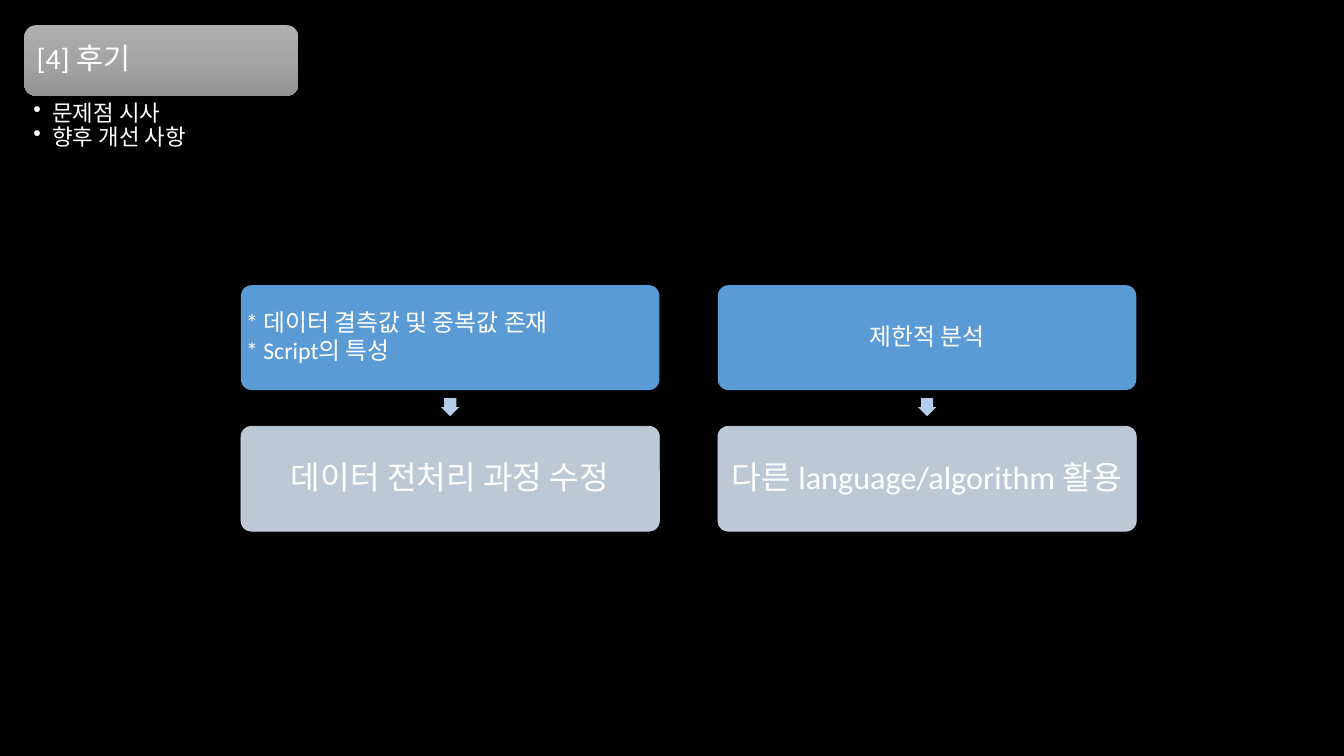
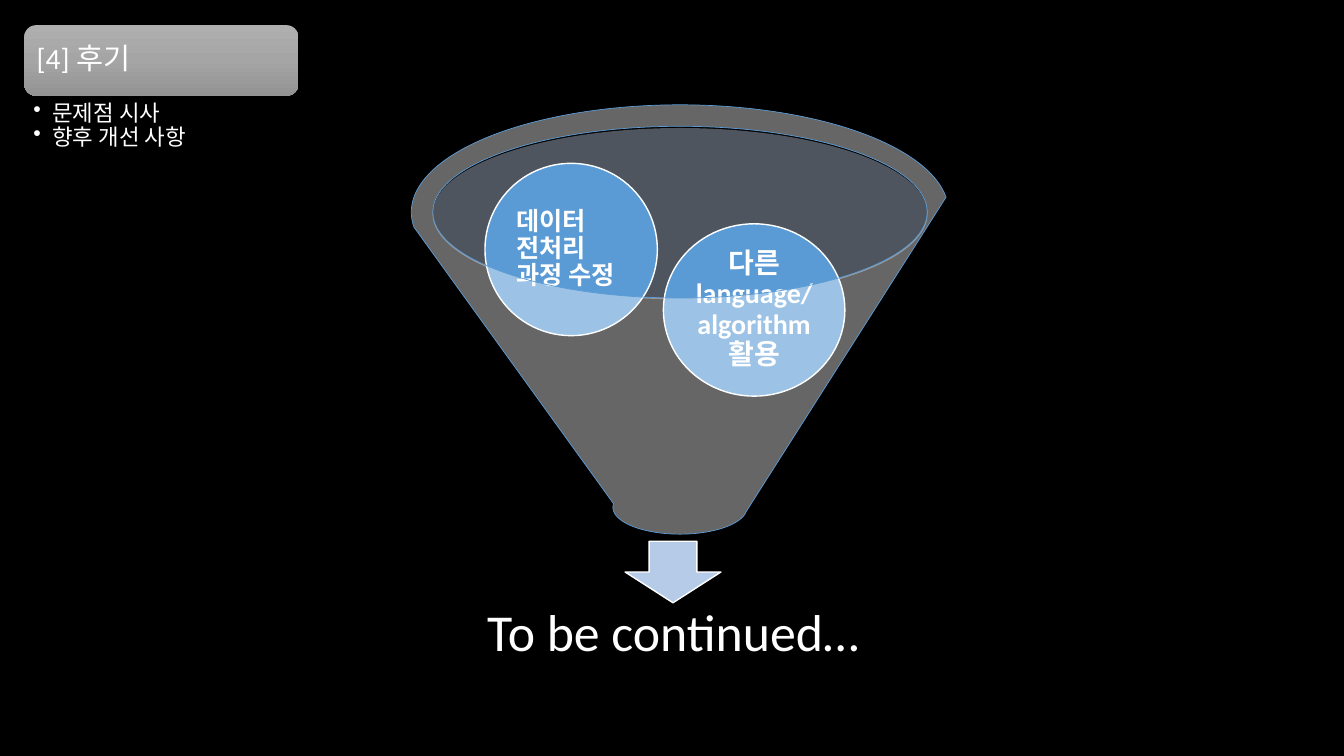
from copy import deepcopy
from dataclasses import dataclass

from lxml.etree import SubElement
from pptx import Presentation
from pptx.dml.color import RGBColor
from pptx.enum.shapes import MSO_SHAPE as Shape
from pptx.enum.text import MSO_ANCHOR as Anchor, PP_ALIGN as Align
from pptx.oxml.ns import qn
from pptx.util import Inches, Pt


@dataclass(frozen=True)
class Theme:
    """Colours, font and type sizes of the presentation."""

    font: str = "Calibri"
    background: str = "000000"
    text: str = "FFFFFF"
    blue: str = "5B9BD5"
    pale_blue: str = "D2DEEF"
    arrow: str = "B5CBE7"
    funnel: str = "FFFFFF"
    funnel_mouth: str = "C4D5EB"
    title_gradient: tuple = ((0, "AFAFAF"), (0.5, "A5A5A5"), (1, "939393"))
    title_size: int = 21
    bullet_size: int = 16
    problem_size: int = 17
    solution_size: int = 23
    closing_size: int = 37


THEME = Theme()
TITLE = "[4] 후기"
BULLETS = ("문제점 시사", "향후 개선 사항")
COLUMNS = (
    (("* 데이터 결측값 및 중복값 존재", "* Script의 특성"), Align.LEFT, "데이터 전처리 과정 수정"),
    (("제한적 분석",), Align.CENTER, "다른 language/algorithm 활용"),
)


def rgb(color):
    """Return a colour object for a hex string."""
    return RGBColor.from_string(color)


def set_opacity(holder, opacity):
    """Make the solid fill inside a properties element translucent."""
    color = holder.find(qn("a:solidFill"))[0]
    SubElement(color, qn("a:alpha"), val=str(round(opacity * 100000)))


def add_shape(slide, kind, box, fill=None, line=None, width=1, opacity=1, line_opacity=1):
    """Add a preset shape with a flat fill and an optional outline."""
    shape = slide.shapes.add_shape(kind, *map(Inches, box))
    shape.shadow.inherit = False
    properties = shape._element.spPr
    if fill:
        shape.fill.solid()
        shape.fill.fore_color.rgb = rgb(fill)
        if opacity < 1:
            set_opacity(properties, opacity)
    if line:
        shape.line.color.rgb = rgb(line)
        shape.line.width = Pt(width)
        if line_opacity < 1:
            set_opacity(properties.find(qn("a:ln")), line_opacity)
    else:
        shape.line.fill.background()
    return shape


def write_text(shape, lines, size, align=Align.CENTER, insets=(0.03,) * 4,
               anchor=Anchor.MIDDLE, bold=False, gap=2):
    """Fill a shape with one paragraph for each line and format it."""
    frame = shape.text_frame
    frame.word_wrap = True
    frame.vertical_anchor = anchor
    (frame.margin_left, frame.margin_top,
     frame.margin_right, frame.margin_bottom) = map(Inches, insets)
    frame.text = "\n".join(lines)
    for paragraph in frame.paragraphs:
        paragraph.alignment = align
        paragraph.line_spacing = 0.9
        paragraph.space_after = Pt(gap)
        for run in paragraph.runs:
            run.font.name = THEME.font
            run.font.size = Pt(size)
            run.font.bold = bold
            run.font.color.rgb = rgb(THEME.text)


def add_bullets(shape, indent):
    """Give every paragraph a hanging bullet."""
    for paragraph in shape.text_frame.paragraphs:
        properties = paragraph._p.get_or_add_pPr()
        properties.set("marL", str(Inches(indent)))
        properties.set("indent", str(-Inches(indent)))
        SubElement(properties, qn("a:buChar"), char="•")


def fill_gradient(shape, colors):
    """Fill a shape with a three-stop gradient from top to bottom."""
    shape.fill.gradient()
    shape.fill.gradient_angle = 270
    stops = shape._element.spPr.find(qn("a:gradFill")).find(qn("a:gsLst"))
    stops.insert(1, deepcopy(stops[0]))
    for stop, (position, color) in zip(shape.fill.gradient_stops, colors):
        stop.position = position
        stop.color.rgb = rgb(color)


def add_header(slide):
    """Add the title plate and its bullets."""
    plate = add_shape(slide, Shape.ROUNDED_RECTANGLE, (0.24, 0.25, 2.72, 0.7))
    fill_gradient(plate, THEME.title_gradient)
    write_text(plate, [TITLE], THEME.title_size, Align.LEFT, (0.09,) * 4)
    agenda = slide.shapes.add_textbox(*map(Inches, (0.24, 0.98, 2.72, 0.83)))
    write_text(agenda, BULLETS, THEME.bullet_size, Align.LEFT,
               (0.09, 0.03, 0.16, 0.03), Anchor.TOP, gap=0)
    add_bullets(agenda, 0.19)


def add_card(slide, box, **style):
    """Add a box with slightly rounded corners."""
    card = add_shape(slide, Shape.ROUNDED_RECTANGLE, box, **style)
    card.adjustments[0] = 0.1
    return card


def add_column(slide, left, problems, align, solution):
    """Add a problem card, an arrow and the solution card below it."""
    width, height, arrow_size = 4.15, 1.04, 0.18
    problem = add_card(slide, (left, 2.83, width, height), fill=THEME.blue)
    write_text(problem, problems, THEME.problem_size, align, (0.02,) * 4)
    arrow_left = left + (width - arrow_size) / 2
    arrow = add_shape(slide, Shape.DOWN_ARROW,
                      (arrow_left, 3.95, arrow_size, arrow_size), THEME.arrow)
    arrow.adjustments[0] = 0.67
    answer = add_card(slide, (left, 4.23, width, height), fill=THEME.pale_blue,
                      line=THEME.pale_blue, width=0.5, opacity=0.9, line_opacity=0.9)
    write_text(answer, [solution], THEME.solution_size)


def add_ball(slide, box, text, size, **style):
    """Add a circle with bold text."""
    ball = add_shape(slide, Shape.OVAL, box, THEME.blue, THEME.text)
    write_text(ball, [text], size, bold=True, **style)


def add_funnel(slide):
    """Add the funnel with its contents and the closing words."""
    add_shape(slide, Shape.OVAL, (4.29, 1.27, 4.91, 1.7), THEME.funnel_mouth, opacity=0.4)
    add_shape(slide, Shape.DOWN_ARROW, (6.2, 5.37, 0.95, 0.61), THEME.arrow, THEME.text)
    closing = slide.shapes.add_textbox(*map(Inches, (4.39, 5.73, 4.57, 1.14)))
    write_text(closing, ["To be continued…"], THEME.closing_size, insets=(0.29,) * 4)
    add_ball(slide, (6.58, 2.22, 1.8, 1.71), "다른 language/algorithm 활용", 20)
    add_ball(slide, (4.81, 1.62, 1.71, 1.71), "데이터\v전처리\v과정 수정", 18,
             align=Align.LEFT, insets=(0.06, 0.03, 0.03, 0.03))
    add_shape(slide, Shape.FUNNEL, (4.08, 1.04, 5.33, 4.26), THEME.funnel,
              THEME.blue, 0.5, opacity=0.4)


def add_slide(presentation):
    """Add a blank slide with the shared header."""
    slide = presentation.slides.add_slide(presentation.slide_layouts[6])
    add_header(slide)
    return slide


def main():
    """Build and save the presentation."""
    presentation = Presentation()
    presentation.slide_width = Inches(13.33)
    presentation.slide_height = Inches(7.5)
    background = presentation.slide_master.background.fill
    background.solid()
    background.fore_color.rgb = rgb(THEME.background)

    review = add_slide(presentation)
    for index, column in enumerate(COLUMNS):
        add_column(review, 2.39 + 4.73 * index, *column)
    add_funnel(add_slide(presentation))
    presentation.save("out.pptx")


if __name__ == "__main__":
    main()
